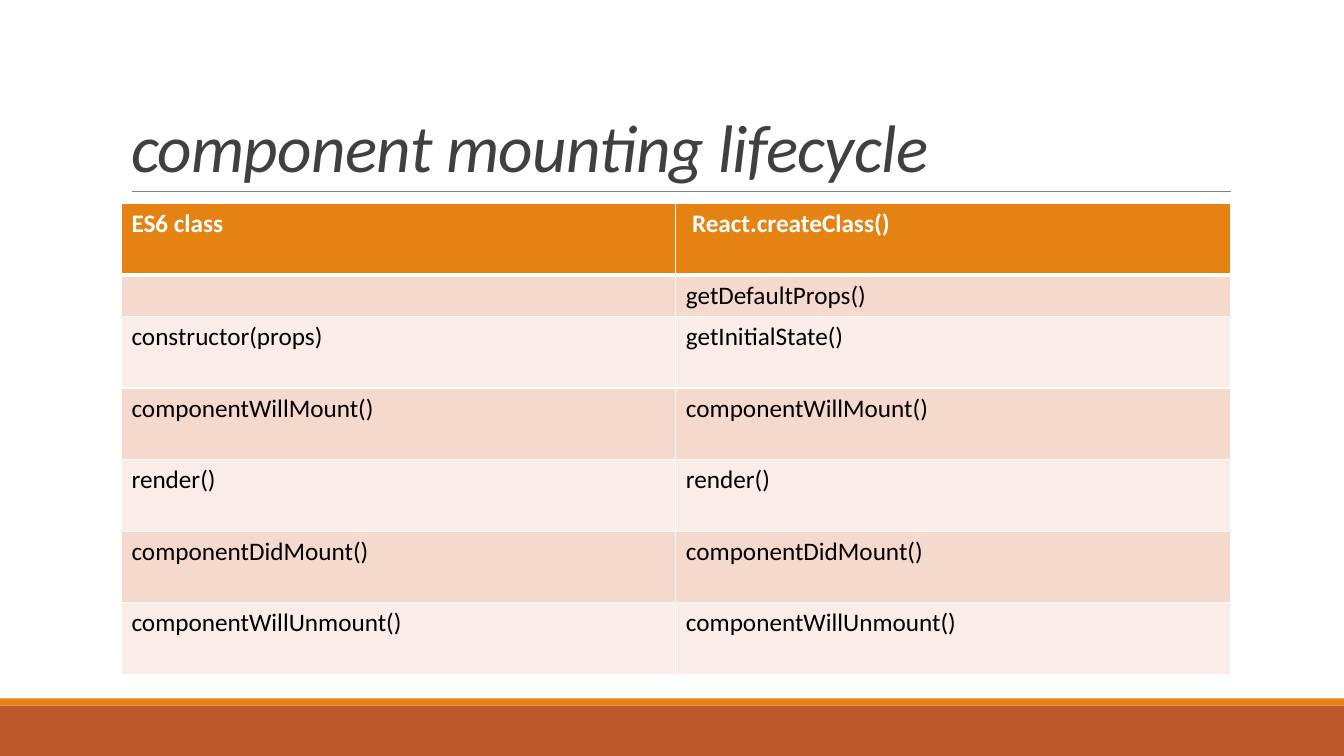
from dataclasses import dataclass

from lxml import etree
from pptx import Presentation
from pptx.dml.color import RGBColor
from pptx.enum.shapes import MSO_CONNECTOR, MSO_SHAPE
from pptx.enum.text import MSO_ANCHOR, MSO_AUTO_SIZE, PP_ALIGN
from pptx.oxml.ns import qn
from pptx.util import Inches, Pt

RECT = MSO_SHAPE.RECTANGLE
STRAIGHT = MSO_CONNECTOR.STRAIGHT
BOTTOM = MSO_ANCHOR.BOTTOM
NO_FIT = MSO_AUTO_SIZE.NONE
LEFT = PP_ALIGN.LEFT

COLS, ROWS = 133.33, 75
CELL = Inches(0.1)
TITLE_ONLY = 5


@dataclass(frozen=True)
class Theme:
    font: str = "Calibri"
    title_size: float = 48
    table_size: float = 18
    title: str = "404040"
    text: str = "000000"
    white: str = "FFFFFF"
    rule: str = "808080"
    accent: str = "E48312"
    base: str = "BD582C"
    bands: tuple = ("F5D9CC", "FAEDE7")


def grid(*values):
    return [round(v * CELL) for v in values]


def write(tf, text, *, font, size, color, bold=False, italic=False,
          spacing=None, line_spacing=None):
    p = tf.paragraphs[0]
    p.alignment = LEFT
    p.line_spacing = line_spacing
    r = p.add_run()
    r.text = text
    r.font.name, r.font.size = font, Pt(size)
    r.font.bold, r.font.italic = bold, italic
    r.font.color.rgb = RGBColor.from_string(color)
    if spacing is not None:
        r._r.get_or_add_rPr().set("spc", str(round(spacing * 100)))


class Deck:
    """Draws themed elements on the current slide, placed in grid cells."""

    def __init__(self, theme):
        self.theme = theme
        self.prs = Presentation()
        self.prs.slide_width, self.prs.slide_height = grid(COLS, ROWS)

    def add_slide(self):
        self.s = self.prs.slides.add_slide(self.prs.slide_layouts[TITLE_ONLY])

    def band(self, row, rows, color):
        sp = self.s.shapes.add_shape(RECT, *grid(0, row, COLS, rows))
        sp.shadow.inherit = False
        sp.fill.solid()
        sp.fill.fore_color.rgb = RGBColor.from_string(color)
        sp.line.fill.background()

    def rule(self, col, row, cols):
        line = self.s.shapes.add_connector(
            STRAIGHT, *grid(col, row, col + cols, row))
        line.line.color.rgb = RGBColor.from_string(self.theme.rule)
        line.line.width = Pt(0.5)
        etree.SubElement(line._element.spPr, qn("a:effectLst"))

    def title(self, text, col, row, cols, rows):
        sp = self.s.shapes.title
        sp.left, sp.top, sp.width, sp.height = grid(col, row, cols, rows)
        tf = sp.text_frame
        tf.word_wrap, tf.auto_size = True, NO_FIT
        tf.vertical_anchor = BOTTOM
        write(tf, text, font=self.theme.font, size=self.theme.title_size,
              color=self.theme.title, italic=True, spacing=-0.5,
              line_spacing=0.85)

    def borders(self, cell, widths):
        tcPr = cell._tc.get_or_add_tcPr()
        for i, (side, width) in enumerate(widths.items()):
            ln = etree.Element(qn(f"a:ln{side}"), w=str(Pt(width)))
            fill = etree.SubElement(ln, qn("a:solidFill"))
            etree.SubElement(fill, qn("a:srgbClr"), val=self.theme.white)
            tcPr.insert(i, ln)

    def table(self, data, col, row, cols, heights):
        t = self.theme
        table = self.s.shapes.add_table(
            len(data), len(data[0]),
            *grid(col, row, cols, sum(heights))).table
        for i, (texts, height) in enumerate(zip(data, heights)):
            table.rows[i].height = grid(height)[0]
            header = i == 0
            fill = t.accent if header else t.bands[(i - 1) % 2]
            for j, text in enumerate(texts):
                cell = table.cell(i, j)
                cell.fill.solid()
                cell.fill.fore_color.rgb = RGBColor.from_string(fill)
                self.borders(cell, {"L": 1, "R": 1, "T": 3 if i == 1 else 1,
                                    "B": 3 if header else 1})
                if header and j:
                    cell.margin_left = Inches(0.16)
                if text:
                    write(cell.text_frame, text, font=t.font,
                          size=t.table_size, bold=header,
                          color=t.white if header else t.text)


def main():
    theme = Theme()
    deck = Deck(theme)
    deck.add_slide()
    deck.band(70, 5, theme.base)
    deck.band(69.3, 0.7, theme.accent)
    deck.rule(13.1, 19, 109)
    deck.title("component mounting lifecycle", 12, 3.1, 110, 15.9)
    shared = ["componentWillMount()", "render()", "componentDidMount()",
              "componentWillUnmount()"]
    data = [("ES6 class", "React.createClass()"),
            ("", "getDefaultProps()"),
            ("constructor(props)", "getInitialState()"),
            *((name, name) for name in shared)]
    tall, short = 7.1, 4.1
    deck.table(data, 12.05, 20.2, 110, [tall, short] + [tall] * 5)
    deck.prs.save("out.pptx")


if __name__ == "__main__":
    main()
